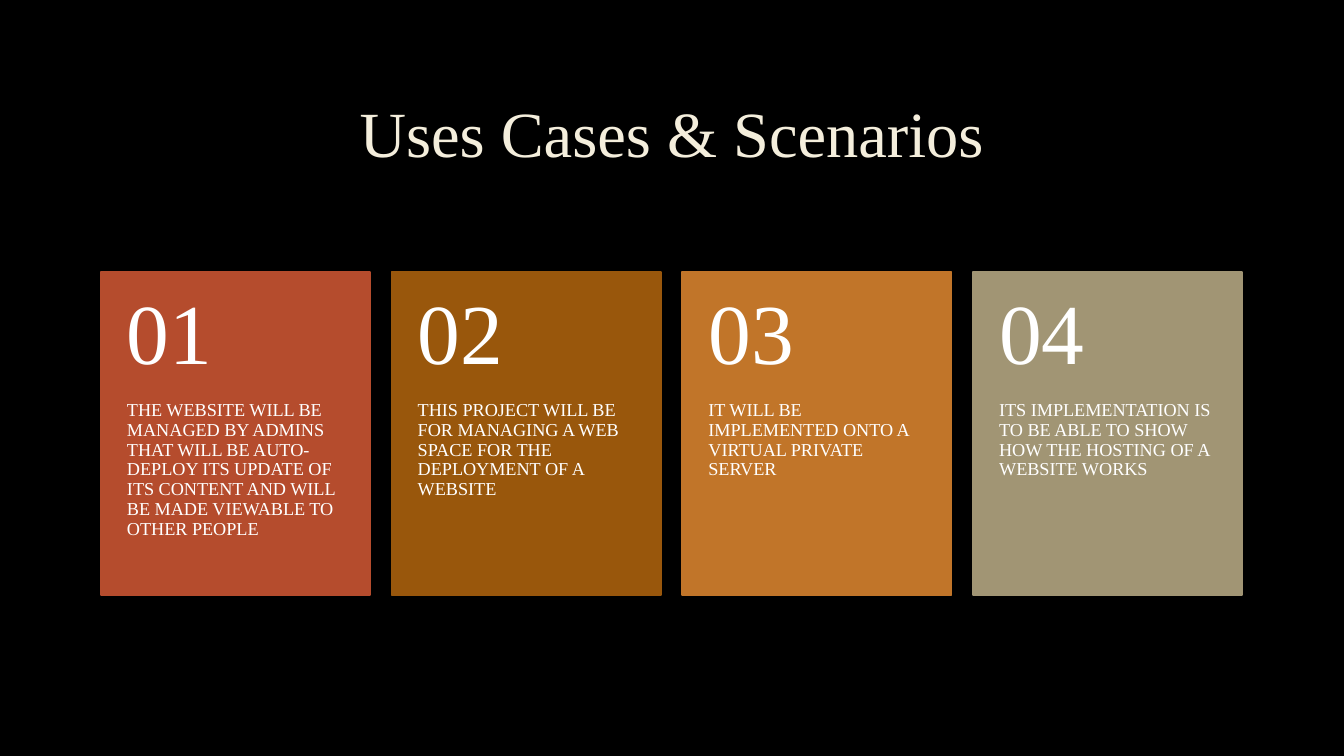
from pptx import Presentation
from pptx.dml.color import RGBColor
from pptx.enum.shapes import MSO_SHAPE
from pptx.enum.text import MSO_ANCHOR, PP_ALIGN
from pptx.util import Inches, Pt

RECT = MSO_SHAPE.RECTANGLE
TOP, MIDDLE = MSO_ANCHOR.TOP, MSO_ANCHOR.MIDDLE
LEFT, CENTER = PP_ALIGN.LEFT, PP_ALIGN.CENTER
FONT = "Times New Roman"
CARD_W, NUMBER_H = 2.67, 1.28
CARDS = [
    ("B54C2D", "THE WEBSITE WILL BE MANAGED BY ADMINS THAT WILL BE AUTO-DEPLOY "
               "ITS UPDATE OF ITS CONTENT AND WILL BE MADE VIEWABLE TO OTHER PEOPLE"),
    ("99570C", "THIS PROJECT WILL BE FOR MANAGING A WEB SPACE FOR THE DEPLOYMENT "
               "OF A WEBSITE"),
    ("C17529", "IT WILL BE IMPLEMENTED ONTO A VIRTUAL PRIVATE SERVER"),
    ("A19574", "ITS IMPLEMENTATION IS TO BE ABLE TO SHOW HOW THE HOSTING OF A "
               "WEBSITE WORKS"),
]


def color(value):
    return RGBColor.from_string(value)


def add_text(shapes, box, text, size, fill="FFFFFF", align=LEFT, anchor=MIDDLE,
             insets=(0.1, 0.05, 0.1, 0.05)):
    tf = shapes.add_textbox(*map(Inches, box)).text_frame
    tf.word_wrap = True
    tf.vertical_anchor = anchor
    for side, inset in zip(("left", "top", "right", "bottom"), insets):
        setattr(tf, f"margin_{side}", Inches(inset))
    p = tf.paragraphs[0]
    p.alignment = align
    p.line_spacing = 0.9
    r = p.add_run()
    r.text = text
    for name, value in {"name": FONT, "size": Pt(size)}.items():
        setattr(r.font, name, value)
    r.font.color.rgb = color(fill)


def add_card(shapes, box, number, fill, text):
    x, y, w, h = box
    s = shapes.add_shape(RECT, *map(Inches, box))
    s.shadow.inherit = False
    s.fill.solid()
    s.fill.fore_color.rgb = color(fill)
    s.line.color.rgb = color(fill)
    s.line.width = Pt(1.25)
    add_text(shapes, (x, y + NUMBER_H, w, h - NUMBER_H), text, 13,
             anchor=TOP, insets=(0.26, 0, 0.26, 0.36))
    add_text(shapes, (x, y, w, NUMBER_H), f"{number:02}", 61,
             insets=(0.26, 0.18, 0.26, 0.18))


def add_card_row(slide, box):
    x, y, w, h = box
    shapes = slide.shapes.add_group_shape().shapes
    pitch = (w - CARD_W) / (len(CARDS) - 1)
    for i, (fill, text) in enumerate(CARDS):
        add_card(shapes, (x + i * pitch, y, CARD_W, h), i + 1, fill, text)


def main():
    prs = Presentation()
    prs.slide_width, prs.slide_height = Inches(13.33), Inches(7.5)
    slide = prs.slides.add_slide(prs.slide_layouts[6])
    slide.background.fill.solid()
    slide.background.fill.fore_color.rgb = color("000000")
    add_text(slide.shapes, (1, 0.67, 11.32, 1.38), "Uses Cases & Scenarios", 46,
             fill="F4EEDC", align=CENTER)
    add_card_row(slide, (1, 2.7, 11.32, 3.2))
    prs.save("out.pptx")


if __name__ == "__main__":
    main()
